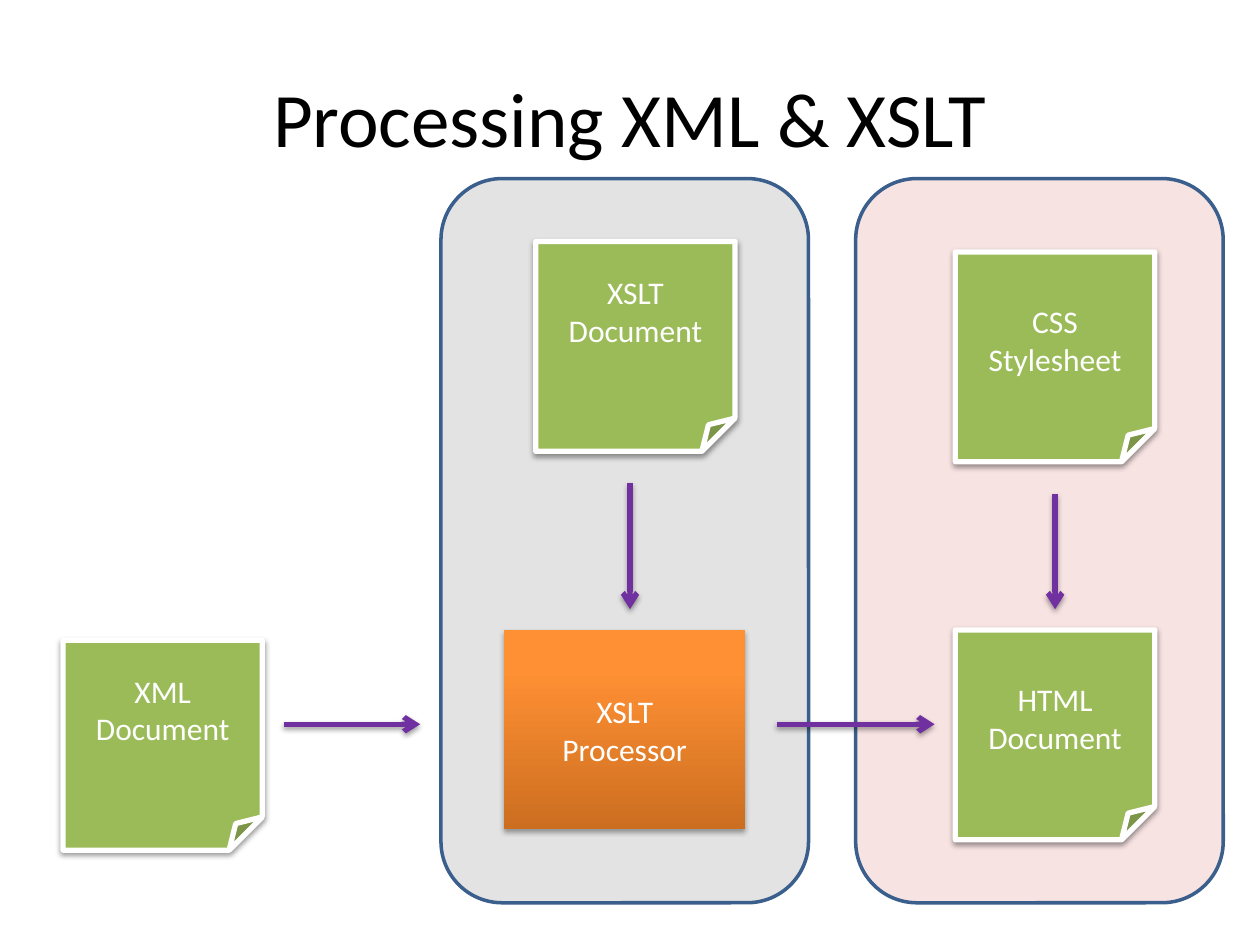
from copy import deepcopy

from lxml import etree
from pptx import Presentation
from pptx.dml.color import RGBColor
from pptx.enum.shapes import MSO_CONNECTOR, MSO_SHAPE
from pptx.enum.text import MSO_ANCHOR, PP_ALIGN
from pptx.oxml.ns import qn
from pptx.util import Cm, Pt

STRAIGHT = MSO_CONNECTOR.STRAIGHT
FOLDED_CORNER = MSO_SHAPE.FOLDED_CORNER
RECTANGLE = MSO_SHAPE.RECTANGLE
ROUNDED_RECTANGLE = MSO_SHAPE.ROUNDED_RECTANGLE
MIDDLE = MSO_ANCHOR.MIDDLE
CENTER = PP_ALIGN.CENTER

FONT = "Calibri"
WHITE = "FFFFFF"
GREEN = "9BBB59"
PURPLE = "7030A0"
PANEL_LINE = "3A5F8C"
PROCESSOR_STOPS = [(0, "CC6E20"), (0.8, "FF9034"), (1, "FF9136")]

PANEL_TOP, PANEL_WIDTH, PANEL_HEIGHT = 3.6, 7.41, 14.6
DOCUMENT_WIDTH, DOCUMENT_HEIGHT = 4.02, 4.23
OUTPUT_LEFT = 19.26
PROCESS_TOP = 12.7
FLOW_Y = 14.6
ONE_LINE = 0.77


def color(hex_value):
    return RGBColor.from_string(hex_value)


def add_alpha(color_element, percent):
    etree.SubElement(color_element, qn("a:alpha"), val=str(percent * 1000))


def add_shadow(shape, opacity=38, distance=1.6):
    effects = etree.SubElement(shape.element.spPr, qn("a:effectLst"))
    shadow = etree.SubElement(
        effects, qn("a:outerShdw"), blurRad=str(Pt(3.1)), dist=str(Pt(distance)),
        dir="5400000", rotWithShape="0")
    add_alpha(etree.SubElement(shadow, qn("a:srgbClr"), val="000000"), opacity)


def write_text(shape, lines, size, text_color):
    frame = shape.text_frame
    frame.word_wrap = True
    frame.vertical_anchor = MIDDLE
    frame.text = "\n".join(lines)
    for para in frame.paragraphs:
        para.alignment = CENTER
        para.font.name = FONT
        para.font.size = Pt(size)
        para.font.color.rgb = color(text_color)


def add_panel(page, left, fill):
    panel = page.shapes.add_shape(
        ROUNDED_RECTANGLE, Cm(left), Cm(PANEL_TOP), Cm(PANEL_WIDTH), Cm(PANEL_HEIGHT))
    panel.shadow.inherit = False
    panel.fill.solid()
    panel.fill.fore_color.rgb = color(fill)
    add_alpha(panel.element.spPr.find(qn("a:solidFill")).find(qn("a:srgbClr")), 11)
    panel.line.color.rgb = color(PANEL_LINE)
    panel.line.width = Pt(2)
    return panel


def add_document(page, left, top, text, raise_by=0):
    document = page.shapes.add_shape(
        FOLDED_CORNER, Cm(left), Cm(top), Cm(DOCUMENT_WIDTH), Cm(DOCUMENT_HEIGHT))
    document.fill.solid()
    document.fill.fore_color.rgb = color(GREEN)
    document.line.color.rgb = color(WHITE)
    document.line.width = Pt(3)
    add_shadow(document)
    write_text(document, [text], 18, WHITE)
    document.text_frame.margin_bottom = Cm(0.13 + raise_by)


def add_processor(page, left, top, width, height, lines):
    processor = page.shapes.add_shape(
        RECTANGLE, Cm(left), Cm(top), Cm(width), Cm(height))
    processor.fill.gradient()
    processor.fill.gradient_angle = 90
    stop_list = processor.element.spPr.find(qn("a:gradFill")).find(qn("a:gsLst"))
    stop_list.append(deepcopy(stop_list[-1]))
    for stop, (position, stop_color) in zip(processor.fill.gradient_stops, PROCESSOR_STOPS):
        stop.position = position
        stop.color.rgb = color(stop_color)
    processor.line.fill.background()
    add_shadow(processor, 35, 1.8)
    write_text(processor, lines, 18, WHITE)


def add_arrow(page, start_x, start_y, end_x, end_y):
    arrow = page.shapes.add_connector(
        STRAIGHT, Cm(start_x), Cm(start_y), Cm(end_x), Cm(end_y))
    arrow.line.color.rgb = color(PURPLE)
    arrow.line.width = Pt(3)
    etree.SubElement(arrow.element.spPr.find(qn("a:ln")), qn("a:tailEnd"), type="arrow")
    add_shadow(arrow)


def format_title(page, text):
    title = page.shapes.title
    title.left, title.top = Cm(1.27), Cm(0.76)
    title.width, title.height = Cm(22.86), Cm(3.18)
    write_text(title, [text], 44, "000000")
    return title


def main():
    deck = Presentation()
    deck.slide_width, deck.slide_height = Cm(25.4), Cm(19.05)
    page = deck.slides.add_slide(deck.slide_layouts[5])

    add_panel(page, 17.25, "C00000")
    transform_panel = add_panel(page, 8.89, "000000")
    title = format_title(page, "Processing XML & XSLT")
    transform_panel.element.addnext(title.element)

    add_document(page, 10.8, 4.87, "XSLT Document", ONE_LINE)
    add_document(page, 1.27, 12.91, "XML Document", ONE_LINE)
    add_arrow(page, 5.72, FLOW_Y, 8.47, FLOW_Y)
    add_processor(page, 10.16, PROCESS_TOP, 4.87, 4.02, ["XSLT", "Processor"])
    add_arrow(page, 15.66, FLOW_Y, 18.84, FLOW_Y)
    add_document(page, OUTPUT_LEFT, PROCESS_TOP, "HTML Document")
    add_document(page, OUTPUT_LEFT, 5.08, "CSS Stylesheet")
    add_arrow(page, 21.27, 9.95, 21.27, 12.28)
    add_arrow(page, 12.7, 9.74, 12.7, 12.28)

    deck.save("out.pptx")


if __name__ == "__main__":
    main()
